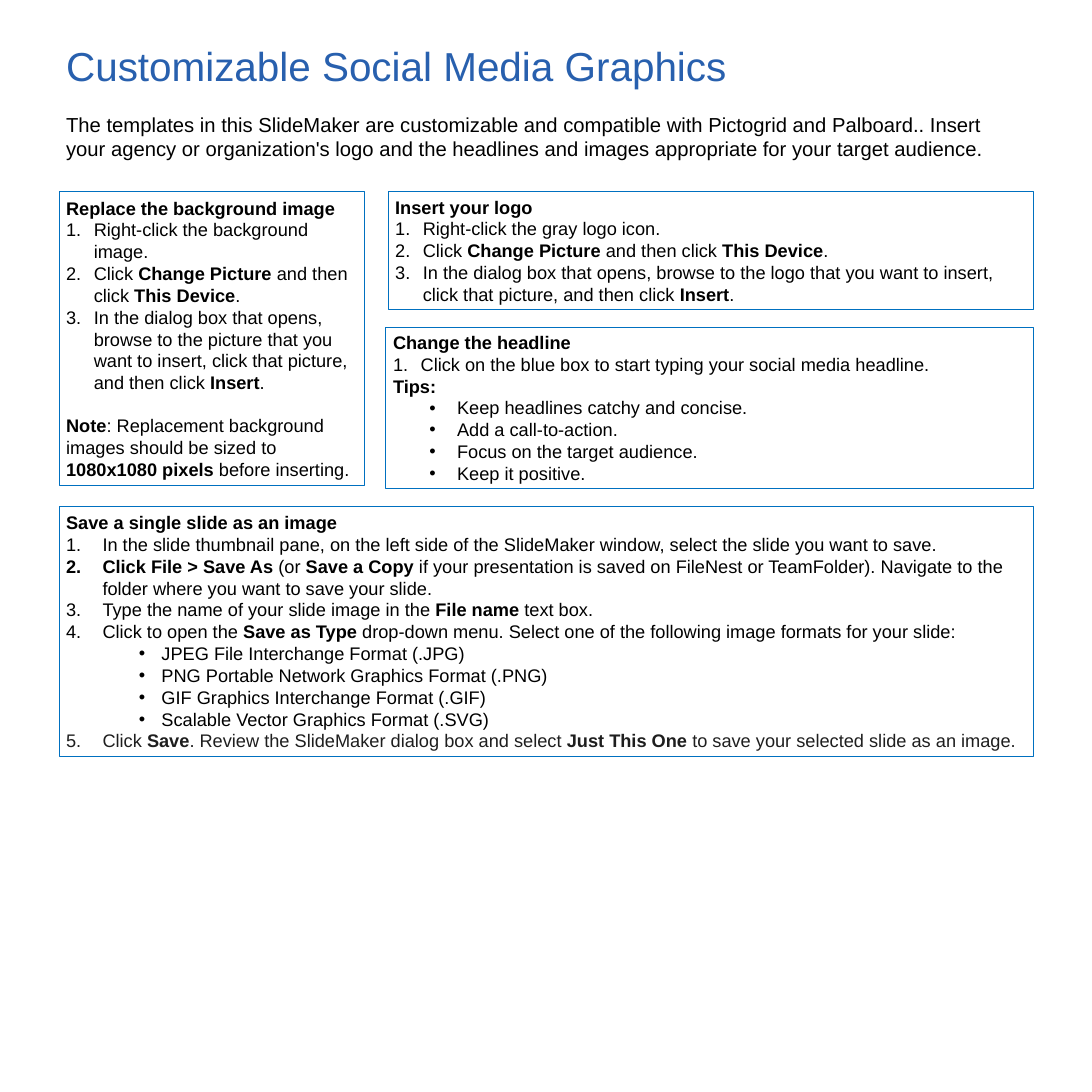
from lxml import etree
from pptx import Presentation
from pptx.dml.color import RGBColor
from pptx.enum.shapes import MSO_SHAPE
from pptx.enum.text import MSO_ANCHOR, PP_ALIGN
from pptx.oxml.ns import qn
from pptx.util import Pt

RECT = MSO_SHAPE.RECTANGLE
MIDDLE = MSO_ANCHOR.MIDDLE
LEFT = PP_ALIGN.LEFT

SCALE = 9144  # EMU in one px, 100 px to the inch
BLUE = RGBColor(0x28, 0x60, 0xAE)
EDGE = RGBColor(0x00, 0x70, 0xC0)
BLACK = RGBColor(0x00, 0x00, 0x00)
GRAY = RGBColor(0x1E, 0x1E, 0x1E)
FONT = "Arial"

# Kinds of line in a panel
PLAIN, STEP, DOT, NOTE = range(4)

# Text between ** marks is bold
PHOTO = [
    (PLAIN, "**Replace the background image**"),
    (STEP, "Right-click the background image."),
    (STEP, "Click **Change Picture **and then click **This Device**."),
    (STEP, "In the dialog box that opens, browse to the picture that you want "
           "to insert, click that picture, and then click **Insert**."),
    (NOTE, "**Note**: Replacement background images should be sized to "
           "**1080x1080 pixels **before inserting."),
]
SAVE = [
    (PLAIN, "**Save a single slide as an image**"),
    (STEP, "In the slide thumbnail pane, on the left side of the SlideMaker "
           "window, select the slide you want to save."),
    (STEP, "**Click File > Save As **(or** Save a Copy **if your presentation is "
           "saved on FileNest or TeamFolder). Navigate to the folder where you "
           "want to save your slide."),
    (STEP, "Type the name of your slide image in the **File name** text box."),
    (STEP, "Click to open the **Save as Type **drop-down menu. Select one of the "
           "following image formats for your slide:"),
    (DOT, "JPEG File Interchange Format (.JPG)"),
    (DOT, "PNG Portable Network Graphics Format (.PNG)"),
    (DOT, "GIF Graphics Interchange Format (.GIF)"),
    (DOT, "Scalable Vector Graphics Format (.SVG)"),
    (STEP, "Click **Save**. Review the SlideMaker dialog box and select "
           "**Just This One** to save your selected slide as an image."),
]
LOGO = [
    (PLAIN, "**Insert your logo**"),
    (STEP, "Right-click the gray logo icon."),
    (STEP, "Click **Change Picture **and then click **This Device**."),
    (STEP, "In the dialog box that opens, browse to the logo that you want to "
           "insert, click that picture, and then click **Insert**."),
]
HEAD = [
    (PLAIN, "**Change the headline**"),
    (STEP, "Click on the blue box to start typing your social media headline."),
    (PLAIN, "**Tips:**"),
    (DOT, "Keep headlines catchy and concise."),
    (DOT, "Add a call-to-action."),
    (DOT, "Focus on the target audience."),
    (DOT, "Keep it positive."),
]


def px(*sizes):
    return [size * SCALE for size in sizes]


def style(run, size, color, bold=False):
    font = run.font
    font.name, font.size, font.bold = FONT, Pt(size), bold
    font.color.rgb = color


def label(slide, spot, text, size, color):
    frame = slide.shapes.add_textbox(*px(*spot)).text_frame
    frame.word_wrap = True
    frame.text = text
    style(frame.paragraphs[0].runs[0], size, color)


def mark(para, kind, margin, hang):
    """Give a paragraph its hanging indent and its number or bullet."""
    props = para._p.get_or_add_pPr()
    props.set("marL", str(margin * SCALE))
    props.set("indent", str(-hang * SCALE))
    etree.SubElement(props, qn("a:buFont"), typeface=FONT)
    if kind == STEP:
        etree.SubElement(props, qn("a:buAutoNum"), type="arabicPeriod")
    else:
        etree.SubElement(props, qn("a:buChar"), char="•")


def panel(slide, spot, lines, step=38, dot=(1, 88, 38)):
    """Draw a framed list; dot holds level, margin and hang."""
    box = slide.shapes.add_shape(RECT, *px(*spot))
    box.shadow.inherit = False
    box.fill.background()
    box.line.color.rgb = EDGE
    box.line.width = Pt(0.75)
    frame = box.text_frame
    frame.word_wrap = True
    frame.vertical_anchor = MIDDLE
    for i, (kind, text) in enumerate(lines):
        para = frame.add_paragraph() if i else frame.paragraphs[0]
        para.alignment = LEFT
        if kind == STEP:
            mark(para, kind, step, step)
        elif kind == DOT:
            level, margin, hang = dot
            para.level = level
            mark(para, kind, margin, hang)
        elif kind == NOTE:
            para.space_before = Pt(21)
        for j, part in enumerate(text.split("**")):
            if part:
                run = para.add_run()
                run.text = part
                style(run, 18, BLACK, j % 2 == 1)
    return frame


def main():
    deck = Presentation()
    deck.slide_width, deck.slide_height = px(1500, 1500)
    slide = deck.slides.add_slide(deck.slide_layouts[6])

    # Title and introduction
    label(slide, (81, 51, 998, 145), "Customizable Social Media Graphics", 40, BLUE)
    label(slide, (81, 149, 1339, 111),
          "The templates in this SlideMaker are customizable and compatible with "
          "Pictogrid and Palboard.. Insert your agency or organization's logo and "
          "the headlines and images appropriate for your target audience.",
          20, BLACK)

    # Instruction panels
    panel(slide, (81, 263, 419, 404), PHOTO)
    save = panel(slide, (81, 696, 1339, 343), SAVE, 50, (2, 131, 31))
    panel(slide, (533, 263, 887, 162), LOGO)
    panel(slide, (530, 449, 889, 222), HEAD)

    # The closing step is a softer black
    for run in save.paragraphs[-1].runs:
        run.font.color.rgb = GRAY

    deck.save("out.pptx")


if __name__ == "__main__":
    main()
